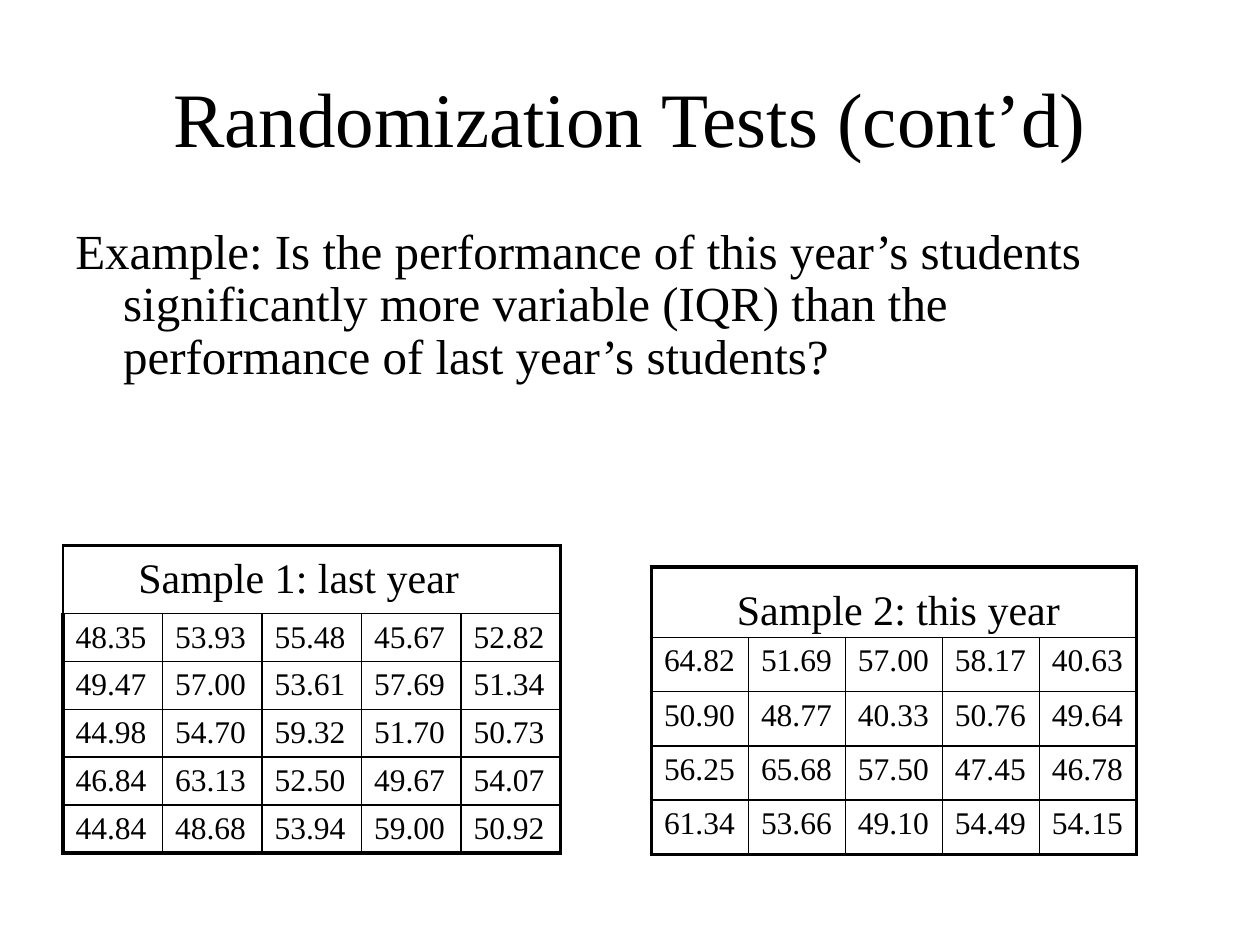
from dataclasses import dataclass

from lxml.etree import SubElement
from pptx import Presentation
from pptx.dml.color import RGBColor
from pptx.enum.text import MSO_ANCHOR, MSO_AUTO_SIZE, PP_ALIGN
from pptx.oxml.ns import qn
from pptx.util import Inches, Pt

BLACK = RGBColor(0x00, 0x00, 0x00)
FONT = "Times New Roman"
THIN, THICK = 1, 2.25


@dataclass
class Sample:
    """A titled table of scores; lengths are in inches."""
    title: str
    title_at: tuple[float, float, float, float]
    left: float
    top: float
    col_width: float
    header_height: float
    row_height: float
    scores: list[str]
    header_left_line: float


SAMPLES = [
    Sample("Sample 1: last year", (1, 4.33, 2.85, 0.5), 0.5, 4.33, 0.79, 0.54, 0.38, [
        "48.35 53.93 55.48 45.67 52.82",
        "49.47 57.00 53.61 57.69 51.34",
        "44.98 54.70 59.32 51.70 50.73",
        "46.84 63.13 52.50 49.67 54.07",
        "44.84 48.68 53.94 59.00 50.92",
    ], THIN),
    Sample("Sample 2: this year", (5.75, 4.58, 2.85, 0.5), 5.17, 4.5, 0.77, 0.56, 0.43, [
        "64.82 51.69 57.00 58.17 40.63",
        "50.90 48.77 40.33 50.76 49.64",
        "56.25 65.68 57.50 47.45 46.78",
        "61.34 53.66 49.10 54.49 54.15",
    ], THICK),
]


def add_run(p, text: str, size: float) -> None:
    r = p.add_run()
    r.text = text
    r.font.name = FONT
    r.font.size = Pt(size)
    r.font.color.rgb = BLACK


def add_text_box(s, at: tuple[float, float, float, float], text: str, size: float):
    tf = s.shapes.add_textbox(*map(Inches, at)).text_frame
    tf.word_wrap = True
    tf.auto_size = MSO_AUTO_SIZE.NONE
    add_run(tf.paragraphs[0], text, size)
    return tf.paragraphs[0]


def set_borders(cell, widths: dict[str, float]) -> None:
    """Draw each side in order L, R, T, B; a width of 0 hides the line."""
    tc_pr = cell._tc.get_or_add_tcPr()
    for i, (side, width) in enumerate(widths.items()):
        ln = tc_pr.makeelement(qn(f"a:ln{side}"), {"w": str(Pt(width))})
        tc_pr.insert(i, ln)
        if width:
            fill = SubElement(ln, qn("a:solidFill"))
            SubElement(fill, qn("a:srgbClr"), val=str(BLACK))
        else:
            SubElement(ln, qn("a:noFill"))


def add_sample(s, sample: Sample) -> None:
    grid = [row.split() for row in sample.scores]
    n_cols, n_rows = len(grid[0]), len(grid) + 1
    height = sample.header_height + sample.row_height * len(grid)
    table = s.shapes.add_table(n_rows, n_cols, Inches(sample.left), Inches(sample.top),
                               Inches(sample.col_width * n_cols), Inches(height)).table
    table.first_row = table.horz_banding = False
    for col in table.columns:
        col.width = Inches(sample.col_width)
    for i, row in enumerate(table.rows):
        row.height = Inches(sample.row_height if i else sample.header_height)
        inner = THIN if i else 0
        for j, cell in enumerate(row.cells):
            cell.fill.background()
            cell.margin_top, cell.margin_bottom = Inches(0.05), Inches(0.04)
            left = THICK if i else sample.header_left_line
            set_borders(cell, {
                "L": inner if j else left,
                "R": THICK if j == n_cols - 1 else inner,
                "T": THIN if i else THICK,
                "B": THICK if i == n_rows - 1 else THIN,
            })
            if i:
                add_run(cell.text_frame.paragraphs[0], grid[i - 1][j], 18)
    add_text_box(s, sample.title_at, sample.title, 24)


def main() -> None:
    prs = Presentation()
    prs.slide_width, prs.slide_height = Inches(10), Inches(7.5)
    s = prs.slides.add_slide(prs.slide_layouts[5])

    # Title
    title = s.shapes.title
    title.left, title.top, title.width, title.height = map(Inches, (0.5, 0.3, 9, 1.25))
    tf = title.text_frame
    tf.vertical_anchor = MSO_ANCHOR.MIDDLE
    p = tf.paragraphs[0]
    p.alignment = PP_ALIGN.CENTER
    add_run(p, "Randomization Tests (cont’d)", 44)

    # Question with a hanging indent
    p = add_text_box(s, (0.5, 1.75, 9, 1.5),
                     "Example: Is the performance of this year’s students significantly more "
                     "variable (IQR) than the performance of last year’s students?", 28)
    p.line_spacing = 0.9
    p.space_before = Pt(5.6)
    p_pr = p._p.get_or_add_pPr()
    p_pr.set("marL", str(Inches(0.38)))
    p_pr.set("indent", str(Inches(-0.38)))

    # Sample tables
    for sample in SAMPLES:
        add_sample(s, sample)

    prs.save("out.pptx")


if __name__ == "__main__":
    main()
